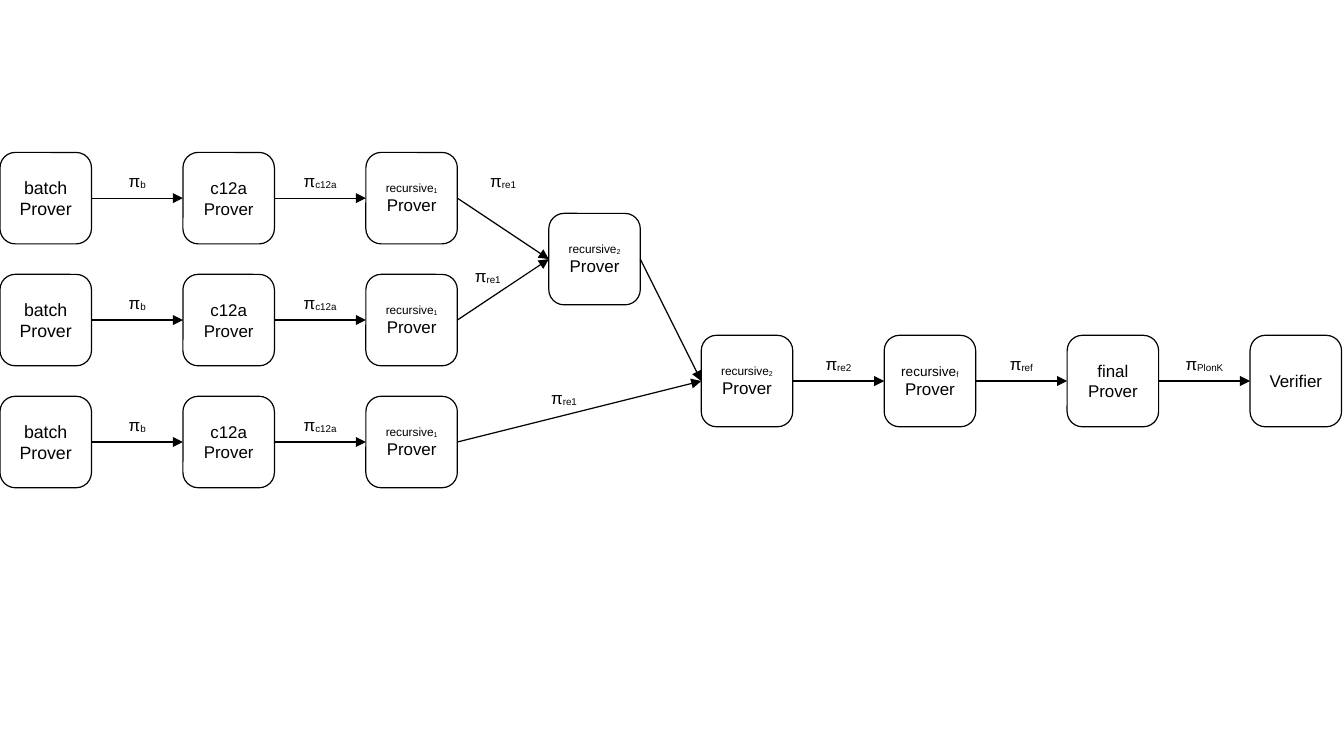
from dataclasses import dataclass

from lxml import etree
from pptx import Presentation, util as u
from pptx.dml.color import RGBColor
from pptx.enum import shapes, text
from pptx.oxml.ns import qn


@dataclass(frozen=True)
class Theme:
    font: str = "Arial"
    ink: RGBColor = RGBColor(0, 0, 0)
    paper: RGBColor = RGBColor(255, 255, 255)
    stroke: float = 0.71
    normal: float = 10
    batch: float = 10.5
    final_name: float = 8
    recursive_name: float = 7
    subscript: int = -8000


class Diagram:
    cell = 0.25
    side = 3
    step = 6
    label_height = 1.12
    label_drop = 0.36

    def __init__(self, page, theme):
        self.page = page
        self.theme = theme

    def grid(self, *cells):
        return [u.Inches(count * self.cell) for count in cells]

    def line(self, line):
        line.color.rgb = self.theme.ink
        line.width = u.Pt(self.theme.stroke)

    def caption(self, para, name, subscript="", size=None):
        para.text = name
        para.alignment = text.PP_ALIGN.CENTER
        if subscript:
            span = para.add_run()
            span.text = subscript
            span._r.get_or_add_rPr().set("baseline", str(self.theme.subscript))
        for span in para.runs:
            span.font.name = self.theme.font
            span.font.size = u.Pt(size or self.theme.normal)
            span.font.color.rgb = self.theme.ink

    def box(self, column, row, name, subscript="", size=None, second="Prover", second_size=None):
        box = self.page.shapes.add_shape(
            shapes.MSO_SHAPE.ROUNDED_RECTANGLE, *self.grid(column, row, self.side, self.side))
        box.shadow.inherit = False
        box.fill.solid()
        box.fill.fore_color.rgb = self.theme.paper
        self.line(box.line)
        frame = box.text_frame
        frame.vertical_anchor = text.MSO_ANCHOR.MIDDLE
        self.caption(frame.paragraphs[0], name, subscript, size)
        if second:
            self.caption(frame.add_paragraph(), second, size=second_size)
        return box

    def label(self, column, row, subscript, width=3):
        label = self.page.shapes.add_textbox(*self.grid(column, row, width, self.label_height))
        frame = label.text_frame
        frame.word_wrap = True
        frame.auto_size = text.MSO_AUTO_SIZE.SHAPE_TO_FIT_TEXT
        frame.vertical_anchor = text.MSO_ANCHOR.MIDDLE
        self.caption(frame.paragraphs[0], "π", subscript)

    def arrow(self, source, target):
        arrow = self.page.shapes.add_connector(shapes.MSO_CONNECTOR.STRAIGHT, 0, 0, 0, 0)
        arrow.begin_connect(source, 3)
        arrow.end_connect(target, 1)
        self.line(arrow.line)
        properties = arrow._element.spPr
        etree.SubElement(properties.find(qn("a:ln")), qn("a:tailEnd"), type="triangle")
        etree.SubElement(properties, qn("a:effectLst"))

    def chain(self, column, row, boxes, proofs):
        placed = [self.box(column + self.step * index, row, **box) for index, box in enumerate(boxes)]
        for index, proof in enumerate(proofs):
            self.label(column + self.step * index + self.side, row + self.label_drop, proof)
            self.arrow(placed[index], placed[index + 1])
        return placed


def main():
    theme = Theme()
    deck = Presentation()
    deck.slide_width, deck.slide_height = u.Inches(11.02), u.Inches(6.2)
    diagram = Diagram(deck.slides.add_slide(deck.slide_layouts[6]), theme)

    def recursive(subscript, size=theme.recursive_name):
        return dict(name="recursive", subscript=subscript, size=size)

    batch_boxes = [
        dict(name="batch", size=theme.batch, second_size=theme.batch),
        dict(name="c12a"),
        recursive("1"),
    ]
    final_boxes = [
        recursive("2"),
        recursive("f", theme.final_name),
        dict(name="final"),
        dict(name="Verifier", second=""),
    ]
    first, second, third = [
        diagram.chain(0, row, batch_boxes, ["b", "c12a"])[-1] for row in (5, 9, 13)]
    merge = diagram.box(18, 7, **recursive("2"))
    root = diagram.chain(23, 11, final_boxes, ["re2", "ref", "PlonK"])[0]

    for source, target in ((first, merge), (second, merge), (third, root), (merge, root)):
        diagram.arrow(source, target)
    for column, row, width in ((15, 5.36, 3), (15, 8.48, 2), (17, 12.48, 3)):
        diagram.label(column, row, "re1", width)

    deck.save("out.pptx")


if __name__ == "__main__":
    main()
